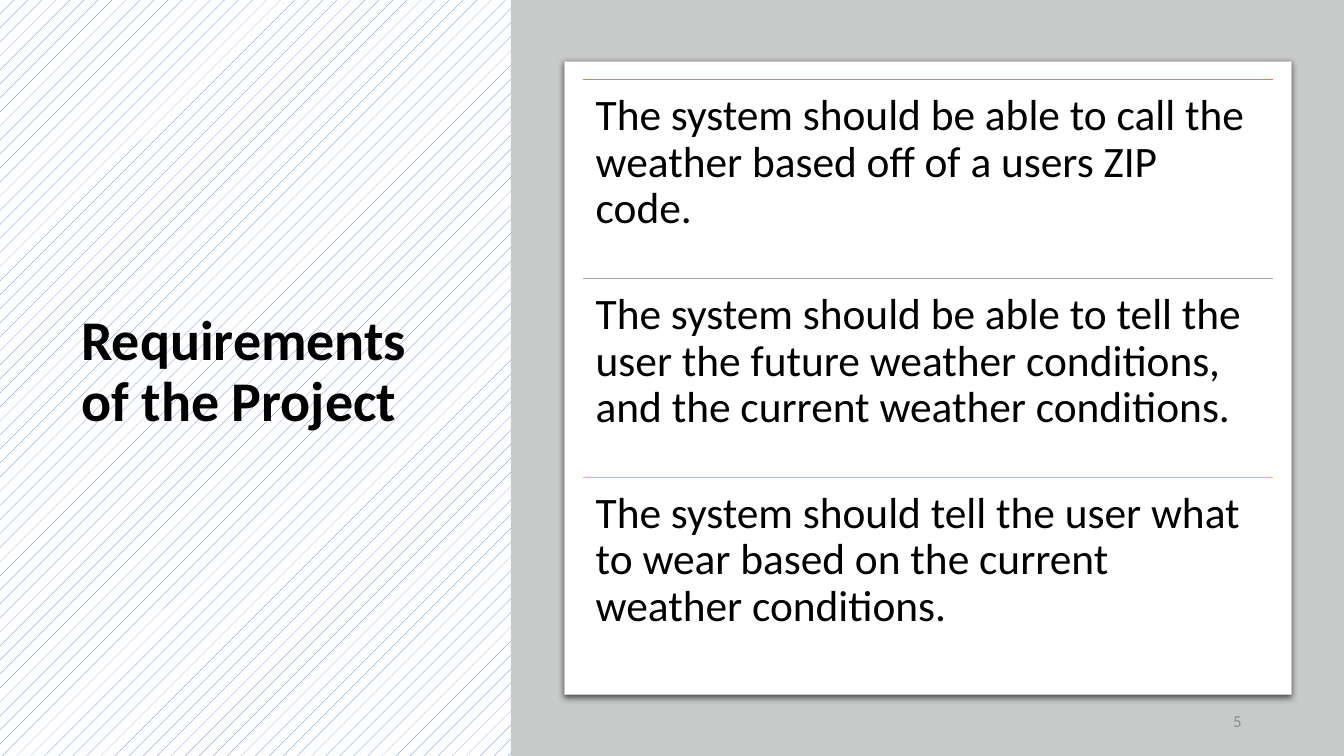
from lxml import etree
from pptx import Presentation
from pptx.dml.color import RGBColor
from pptx.enum import dml, shapes, text
from pptx.oxml import ns
from pptx.util import Pt

BLACK = RGBColor(0x00, 0x00, 0x00)
WHITE = RGBColor(0xFF, 0xFF, 0xFF)
BLUE = RGBColor(0x44, 0x72, 0xC4)
SILVER = RGBColor(0xC8, 0xCA, 0xCA)
DIM = RGBColor(0x8C, 0x8C, 0x8C)
ORANGE = RGBColor(0xED, 0x7D, 0x31)
GREY = RGBColor(0xA5, 0xA5, 0xA5)
GOLD = RGBColor(0xFF, 0xC0, 0x00)

deck = Presentation()
deck.slide_width, deck.slide_height = Pt(960), Pt(540)
slide = deck.slides.add_slide(deck.slide_layouts[6])


def effects(shape):
    return etree.SubElement(shape.element.spPr, ns.qn("a:effectLst"))


def write(words, box, format, anchor, pad=None, space=None, align=None):
    frame = slide.shapes.add_textbox(*map(Pt, box)).text_frame
    frame.word_wrap = True
    frame.vertical_anchor = anchor
    if pad is not None:
        for side in ("left", "top", "right", "bottom"):
            setattr(frame, "margin_" + side, Pt(pad))
    para = frame.paragraphs[0]
    para.line_spacing, para.alignment = space, align
    run = para.add_run()
    run.text = words
    format = {"name": "Calibri", **format}
    run.font.color.rgb = format.pop("color")
    for key, value in format.items():
        setattr(run.font, key, value)


# Patterned background
back = slide.background.fill
back.patterned()
back.pattern = dml.MSO_PATTERN.PERCENT_5
back.fore_color.rgb, back.back_color.rgb = BLUE, WHITE

# Title
write("Requirements of the Project", (51, 49.7, 289, 433.4),
      {"size": Pt(40), "bold": True, "color": BLACK},
      text.MSO_ANCHOR.MIDDLE, space=0.9)

# Grey panel
panel = slide.shapes.add_shape(shapes.MSO_SHAPE.RECTANGLE,
                               Pt(365), 0, Pt(595), Pt(540))
panel.shadow.inherit = False
panel.fill.solid()
panel.fill.fore_color.rgb = SILVER
panel.line.fill.background()

# White card with a soft shadow
card = slide.shapes.add_shape(shapes.MSO_SHAPE.ROUNDED_RECTANGLE,
                              Pt(403.2), Pt(44), Pt(519), Pt(452))
card.adjustments[0] = 0
card.fill.solid()
card.fill.fore_color.rgb = WHITE
card.line.color.rgb = SILVER
card.line.width = Pt(0.75)
shade = etree.SubElement(effects(card), ns.qn("a:outerShdw"),
                         blurRad=str(Pt(4.5)), dist=str(Pt(1.5)),
                         dir="5400000", algn="ctr", rotWithShape="0")
tone = etree.SubElement(shade, ns.qn("a:srgbClr"), val=str(BLACK))
etree.SubElement(tone, ns.qn("a:alpha"), val="63000")

# Requirements, each under a coloured rule
needs = [
    (ORANGE, "The system should be able to call the weather based off of a "
             "users ZIP code."),
    (GREY, "The system should be able to tell the user the future weather "
           "conditions, and the current weather conditions."),
    (GOLD, "The system should tell the user what to wear based on the "
           "current weather conditions."),
]
left, top, width, step = 416.2, 56.9, 493.2, 142.1
for row, (color, words) in enumerate(needs):
    y = top + row * step
    rule = slide.shapes.add_connector(shapes.MSO_CONNECTOR.STRAIGHT,
                                      Pt(left), Pt(y), Pt(left + width), Pt(y))
    rule.line.color.rgb = color
    rule.line.width = Pt(1)
    effects(rule)
    write(words, (left, y, width, step), {"size": Pt(31), "color": BLACK},
          text.MSO_ANCHOR.TOP, pad=9.3, space=0.9)

# Slide number
write("5", (678, 500.5, 216, 28.8), {"size": Pt(12), "color": DIM},
      text.MSO_ANCHOR.MIDDLE, align=text.PP_ALIGN.RIGHT)

deck.save("out.pptx")
